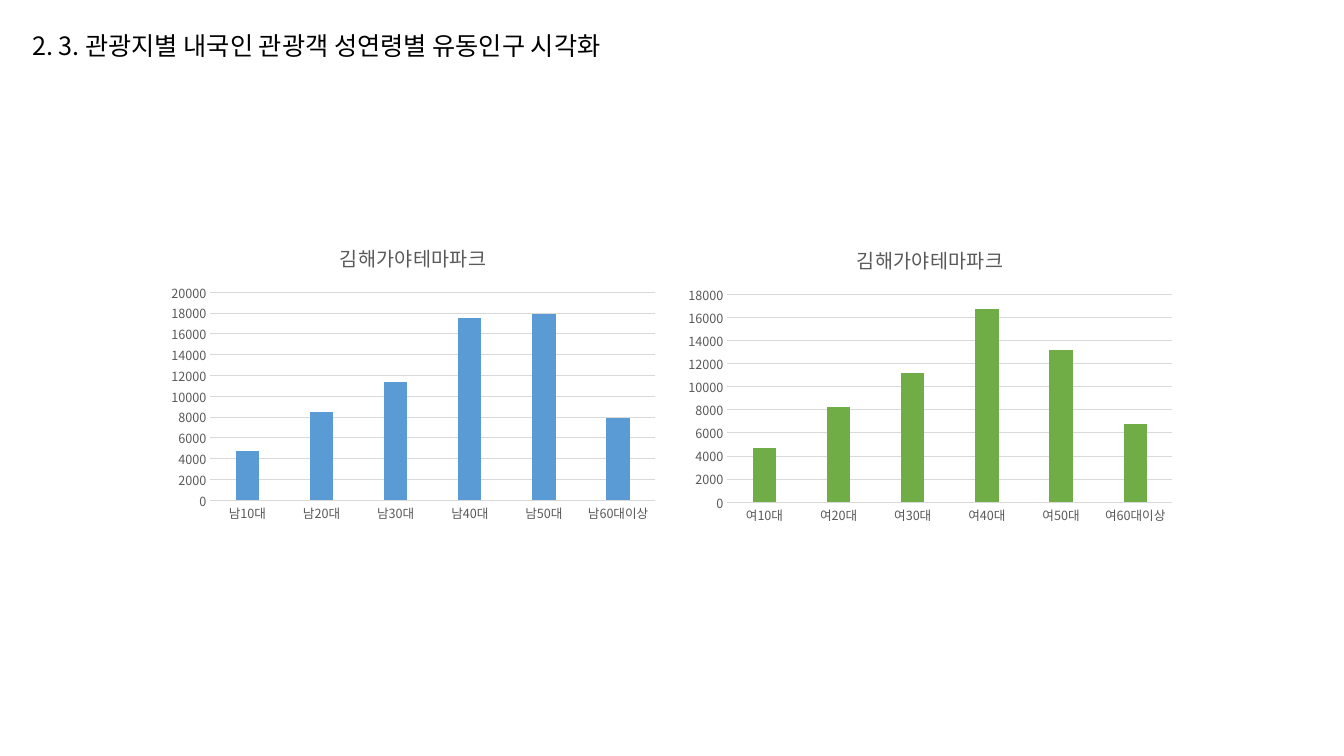
from lxml.etree import Element
from pptx import Presentation
from pptx.chart.data import CategoryChartData
from pptx.dml.color import RGBColor
from pptx.enum.chart import XL_CHART_TYPE, XL_TICK_MARK
from pptx.oxml.ns import qn
from pptx.util import Pt

FACE = "Noto Sans CJK KR"
BLACK = RGBColor(0x00, 0x00, 0x00)
GRAY = RGBColor(0x59, 0x59, 0x59)
PALE = RGBColor(0xD9, 0xD9, 0xD9)
BLUE = RGBColor(0x5B, 0x9B, 0xD5)
GREEN = RGBColor(0x70, 0xAD, 0x47)

PLACE = "김해가야테마파크"
AGES = ["10대", "20대", "30대", "40대", "50대", "60대이상"]
CHARTS = [
    ("남", 115.2, 161.28, 20000, BLUE, [4700, 8500, 11400, 17500, 17900, 7900]),
    ("여", 484.56, 162.72, 18000, GREEN, [4700, 8200, 11200, 16700, 13200, 6800]),
]


def style(font, size, color):
    for key, val in {"name": FACE, "size": Pt(size), "bold": False}.items():
        setattr(font, key, val)
    font.color.rgb = color


def add_asian(root):
    """Give Korean text the same typeface as Latin text."""
    for latin in list(root.iter(qn("a:latin"))):
        latin.addnext(Element(qn("a:ea"), typeface=FACE))


prs = Presentation()
prs.slide_width, prs.slide_height = Pt(960), Pt(540)
slide = prs.slides.add_slide(prs.slide_layouts[6])

for sex, left, top, peak, color, counts in CHARTS:
    data = CategoryChartData()
    data.categories = [sex + age for age in AGES]
    data.add_series(PLACE, counts)
    chart = slide.shapes.add_chart(
        XL_CHART_TYPE.COLUMN_CLUSTERED, Pt(left), Pt(top), Pt(360), Pt(216), data
    ).chart
    style(chart.font, 10, BLACK)
    chart.has_legend = False
    chart.has_title = True
    title = chart.chart_title
    title.include_in_layout = False
    title.text_frame.text = PLACE
    style(title.text_frame.paragraphs[0].runs[0].font, 14, GRAY)

    ages, scale = chart.category_axis, chart.value_axis
    for axis in (ages, scale):
        axis.major_tick_mark = axis.minor_tick_mark = XL_TICK_MARK.NONE
        style(axis.tick_labels.font, 9, GRAY)
    limits = {"minimum_scale": 0, "maximum_scale": peak, "major_unit": 2000}
    for key, val in limits.items():
        setattr(scale, key, val)
    scale.format.line.fill.background()
    for line in (ages.format.line, scale.major_gridlines.format.line):
        line.color.rgb = PALE
        line.width = Pt(0.75)

    plot = chart.plots[0]
    for key, val in {"gap_width": 219, "overlap": -27, "vary_by_categories": False}.items():
        setattr(plot, key, val)
    fill = plot.series[0].format.fill
    fill.solid()
    fill.fore_color.rgb = color
    add_asian(chart.element)

head = slide.shapes.add_textbox(Pt(15.84), Pt(18), Pt(469.44), Pt(28.8))
head.text_frame.word_wrap = True
head.text_frame.text = "2. 3. 관광지별 내국인 관광객 성연령별 유동인구 시각화"
style(head.text_frame.paragraphs[0].runs[0].font, 18, BLACK)
add_asian(head.element)

prs.save("out.pptx")
